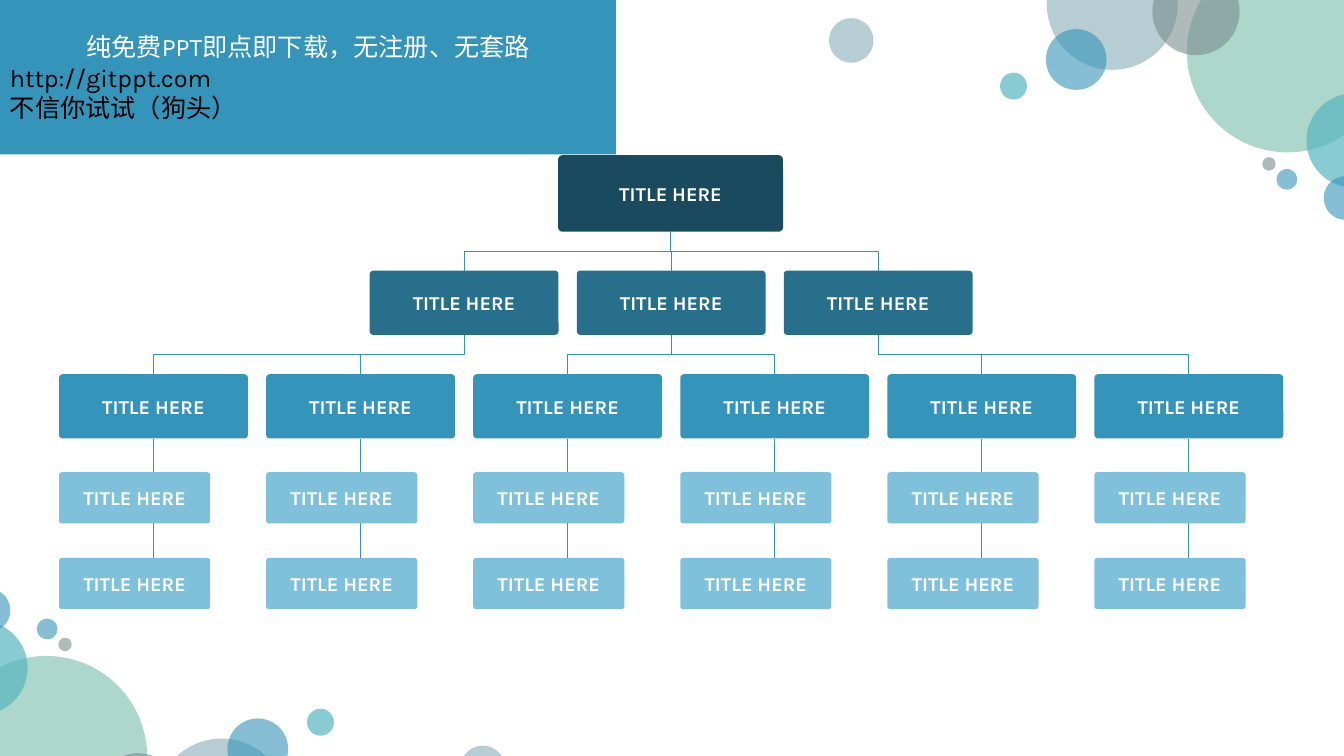
"""Build an organisation chart slide with bubble decoration and a banner."""
import pptx
import pptx.dml.color
import pptx.enum.shapes
import pptx.enum.text
import pptx.oxml.ns
import pptx.oxml.xmlchemy
import pptx.util

Cm = pptx.util.Cm
SHAPES = pptx.enum.shapes.MSO_SHAPE
CONNECTORS = pptx.enum.shapes.MSO_CONNECTOR
ALIGN = pptx.enum.text.PP_ALIGN
TOP, BOTTOM = 0, 2
BLUE = "3494BA"


def color(value):
    return pptx.dml.color.RGBColor.from_string(value)


def add_element(parent, tag, **attributes):
    element = pptx.oxml.xmlchemy.OxmlElement(tag)
    for name, value in attributes.items():
        element.set(name, value)
    parent.append(element)


def write(shape, text, size=14, fill="FFFFFF", bold=False, align=ALIGN.CENTER, font="Karla"):
    frame = shape.text_frame
    frame.word_wrap = True
    frame.vertical_anchor = pptx.enum.text.MSO_ANCHOR.MIDDLE
    paragraph = frame.add_paragraph() if frame.text else frame.paragraphs[0]
    paragraph.alignment = align
    run = paragraph.add_run()
    run.text = text
    run.font.name = font
    run.font.size = pptx.util.Pt(size)
    run.font.bold = bold
    run.font.color.rgb = color(fill)


class Canvas:
    def __init__(self, slide, line_color=BLUE, line_width=0.5, corner=0.057):
        self.slide = slide
        self.line_color = line_color
        self.line_width = line_width
        self.corner = corner

    def shape(self, kind, left, top, width, height, fill, opacity=100):
        shape = self.slide.shapes.add_shape(kind, Cm(left), Cm(top), Cm(width), Cm(height))
        shape.shadow.inherit = False
        shape.line.fill.background()
        shape.fill.solid()
        shape.fill.fore_color.rgb = color(fill)
        if opacity < 100:
            solid = shape._element.spPr.find(pptx.oxml.ns.qn("a:solidFill"))
            add_element(solid[0], "a:alpha", val=str(opacity * 1000))
        return shape

    def bubble(self, center_x, center_y, diameter, fill, opacity):
        radius = diameter / 2
        self.shape(SHAPES.OVAL, center_x - radius, center_y - radius,
                   diameter, diameter, fill, opacity)

    def box(self, left, top, width, height, fill):
        shape = self.shape(SHAPES.ROUNDED_RECTANGLE, left, top, width, height, fill)
        shape.adjustments[0] = self.corner
        write(shape, "TITLE HERE", bold=True)
        return shape

    def connector(self, kind, begin_x, begin_y, end_x, end_y):
        connector = self.slide.shapes.add_connector(kind, begin_x, begin_y, end_x, end_y)
        connector.line.color.rgb = color(self.line_color)
        connector.line.width = pptx.util.Pt(self.line_width)
        add_element(connector._element.spPr, "a:effectLst")
        return connector

    def drop(self, upper, lower, center_x):
        return self.connector(CONNECTORS.STRAIGHT, center_x, upper.top + upper.height,
                              center_x, lower.top)

    def branch(self, parent, child):
        begin_x, begin_y = parent.left + parent.width // 2, parent.top + parent.height
        end_x, end_y = child.left + child.width // 2, child.top
        connector = self.connector(CONNECTORS.ELBOW, begin_x, begin_y, end_x, end_y)
        connector.begin_connect(parent, BOTTOM)
        connector.end_connect(child, TOP)
        connector.width, connector.height = end_y - begin_y, abs(end_x - begin_x)
        connector.left = (begin_x + end_x - connector.width) // 2
        connector.top = (begin_y + end_y - connector.height) // 2
        to_right = end_x > begin_x
        transform = connector._element.spPr.find(pptx.oxml.ns.qn("a:xfrm"))
        transform.set("rot", str((270 if to_right else 90) * 60000))
        transform.set("flipH", "1" if to_right else "0")
        transform.set("flipV", "0")


BUBBLES = [
    (28.04, 0.11, 3.3, "84ACB6", 60),
    (32.46, 1.3, 5.08, "75BDA7", 60),
    (30.15, 0.29, 2.2, "7A8C8E", 60),
    (27.13, 1.5, 1.53, BLUE, 60),
    (34.12, 3.54, 2.37, "58B6C0", 70),
    (25.55, 2.17, 0.68, "58B6C0", 70),
    (33.92, 4.99, 1.1, BLUE, 60),
    (32.44, 4.52, 0.52, BLUE, 60),
    (31.99, 4.13, 0.34, "7A8C8E", 60),
    (21.46, 1.02, 1.12, "84ACB6", 60),
]
MIRROR_X, MIRROR_Y = 33.63, 20.37
CHART_LEFT, COLUMN_PITCH = 1.49, 5.22
BOX_WIDTH, BOX_HEIGHT = 4.76, 1.62


def column_left(column):
    return CHART_LEFT + COLUMN_PITCH * column


def add_bubbles(canvas):
    for x, y, diameter, fill, opacity in BUBBLES:
        canvas.bubble(x, y, diameter, fill, opacity)
    for x, y, diameter, fill, opacity in BUBBLES:
        canvas.bubble(MIRROR_X - x, MIRROR_Y - y, diameter, fill, opacity)


def add_chart_tree(canvas):
    root = canvas.box(14.07, 3.91, 5.67, 1.93, "1A4A5D")
    managers = [canvas.box(column_left(column), 6.82, BOX_WIDTH, BOX_HEIGHT, "276F8B")
                for column in (1.5, 2.5, 3.5)]
    teams = [canvas.box(column_left(column), 9.43, BOX_WIDTH, BOX_HEIGHT, BLUE)
             for column in range(6)]
    leaves = [[canvas.box(column_left(column), top, 3.81, 1.29, "7FC1DB")
               for top in (11.9, 14.06)] for column in range(6)]
    for manager in managers:
        canvas.branch(root, manager)
    for index, team in enumerate(teams):
        canvas.branch(managers[index // 2], team)
        center_x = team.left + team.width // 2
        upper, lower = leaves[index]
        canvas.drop(team, upper, center_x).begin_connect(team, BOTTOM)
        canvas.drop(upper, lower, center_x)


def add_banner(canvas):
    banner = canvas.shape(SHAPES.RECTANGLE, 0, 0, 15.53, 3.89, BLUE)
    write(banner, "纯免费PPT即点即下载，无注册、无套路", size=18)
    for text in ("http://gitppt.com", "不信你试试（狗头）"):
        write(banner, text, size=18, fill="000000", align=ALIGN.LEFT)


def main():
    presentation = pptx.Presentation()
    presentation.slide_width, presentation.slide_height = Cm(33.88), Cm(19.05)
    canvas = Canvas(presentation.slides.add_slide(presentation.slide_layouts[6]))
    add_bubbles(canvas)
    add_chart_tree(canvas)
    add_banner(canvas)
    presentation.save("out.pptx")


if __name__ == "__main__":
    main()
